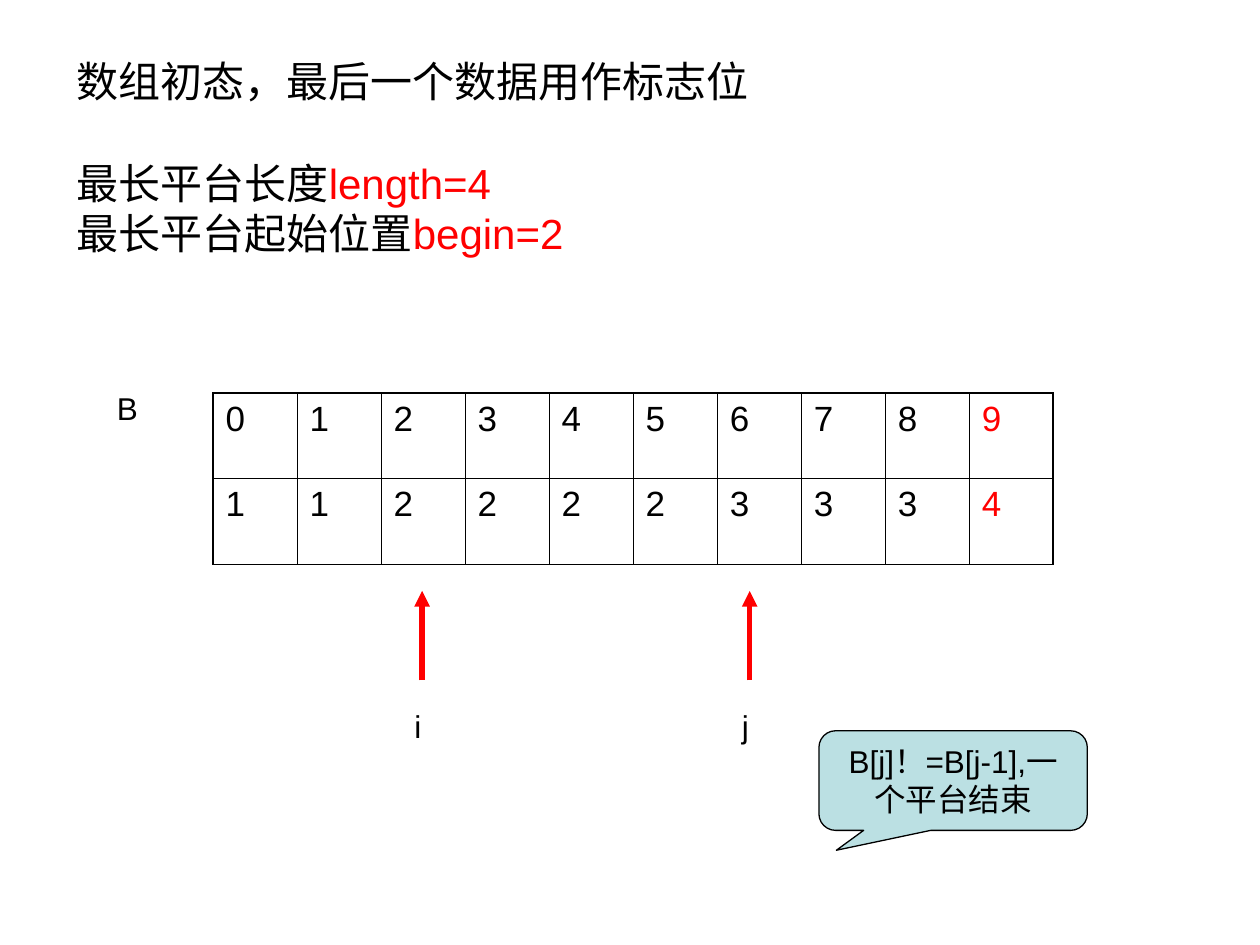
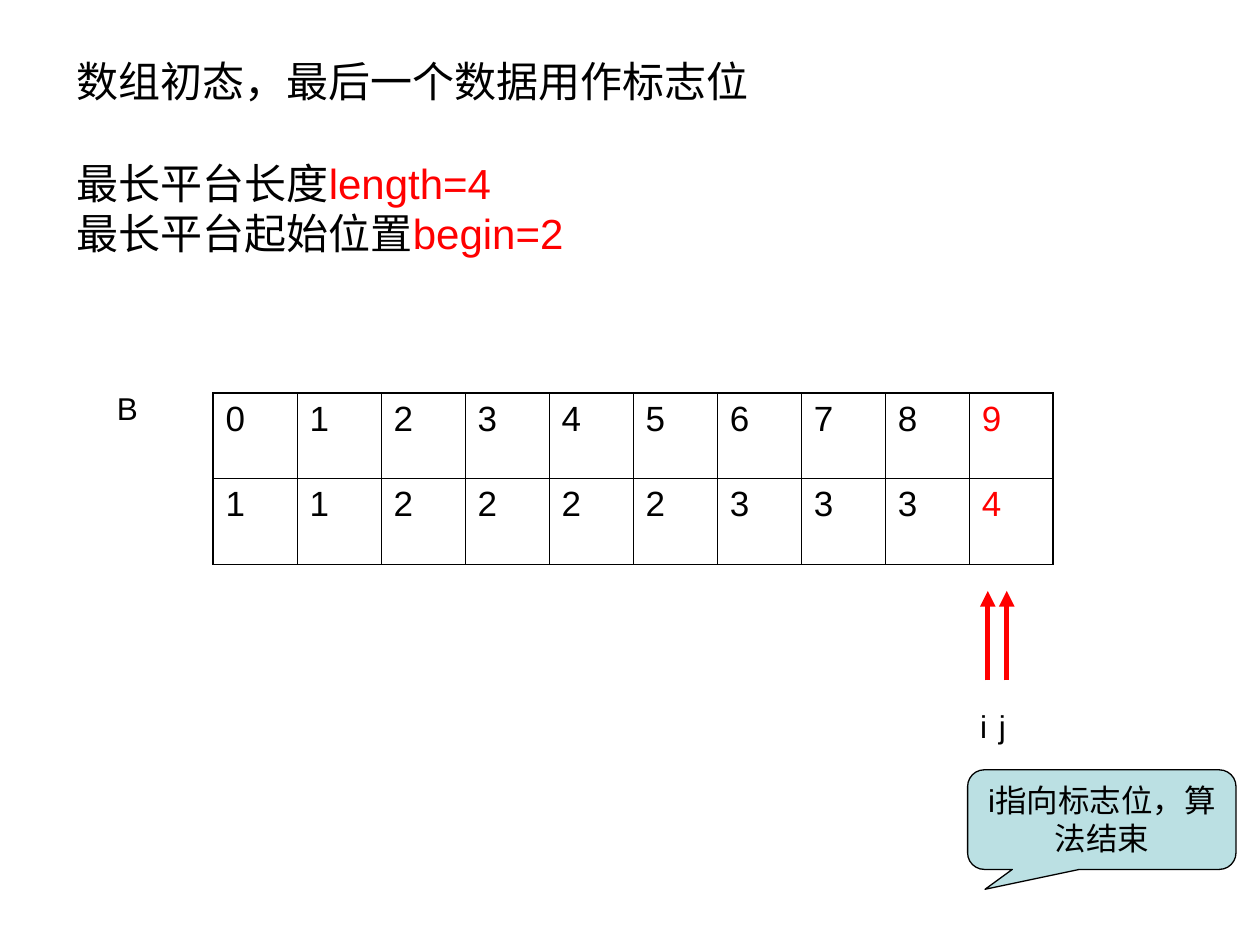
import pptx
import pptx.dml.color
import pptx.enum.lang
import pptx.enum.shapes
import pptx.enum.text
import pptx.oxml
import pptx.oxml.ns
import pptx.util

Inches = pptx.util.Inches
Pt = pptx.util.Pt
Align = pptx.enum.text.PP_ALIGN
Anchor = pptx.enum.text.MSO_ANCHOR

theme = {
    "font": "Arial",
    "ink": "000000",
    "accent": "FF0000",
    "callout": "BBE0E3",
    "title_size": 24,
    "cell_size": 20,
    "label_size": 18,
    "outer_border": 1.08,
    "inner_border": 0.45,
}


def color(name):
    return pptx.dml.color.RGBColor.from_string(theme[name])


def write(paragraph, text, size="label_size", ink="ink", align=Align.LEFT):
    paragraph.alignment = align
    run = paragraph.add_run()
    run.text = text
    run.font.name = theme["font"]
    run.font.size = Pt(theme[size])
    run.font.color.rgb = color(ink)
    run.font.language_id = pptx.enum.lang.MSO_LANGUAGE_ID.SIMPLIFIED_CHINESE


title_lines = [
    ("数组初态，最后一个数据用作标志位", "", 0),
    ("最长平台长度", "length=4", 29),
    ("最长平台起始位置", "begin=2", 0),
]
array_rows = [range(10), [1, 1, 2, 2, 2, 2, 3, 3, 3, 4]]
column_count = len(array_rows[0])
cell_width, cell_height = 0.667, 0.68

steps = [
    {"pointers": {"i": 3.35, "j": 5.95}, "callout": "B[j]！=B[j-1],一个平台结束", "at": (6.5, 5.8)},
    {"pointers": {"i": 7.84, "j": 7.99}, "callout": "i指向标志位，算法结束", "at": (7.68, 6.11)},
]

presentation = pptx.Presentation()
presentation.slide_width = Inches(10)
presentation.slide_height = Inches(7.5)

for step in steps:
    slide = presentation.slides.add_slide(presentation.slide_layouts[5])

    title = slide.shapes.title
    title.left, title.top = Inches(0.51), Inches(0.44)
    title.width, title.height = Inches(8.5), Inches(1.61)
    title_frame = title.text_frame
    title_frame.auto_size = pptx.enum.text.MSO_AUTO_SIZE.NONE
    title_frame.vertical_anchor = Anchor.MIDDLE
    for index, (label, value, gap) in enumerate(title_lines):
        paragraph = title_frame.add_paragraph() if index else title_frame.paragraphs[0]
        paragraph.space_before = Pt(gap)
        write(paragraph, label, size="title_size")
        if value:
            write(paragraph, value, size="title_size", ink="accent")

    table = slide.shapes.add_table(
        len(array_rows), column_count, Inches(1.69), Inches(3.12),
        Inches(cell_width * column_count), Inches(cell_height * len(array_rows))).table
    table.first_row = False
    table.horz_banding = False
    for column in table.columns:
        column.width = Inches(cell_width)
    for row_index, values in enumerate(array_rows):
        table.rows[row_index].height = Inches(cell_height)
        for column_index, value in enumerate(values):
            cell = table.cell(row_index, column_index)
            is_sentinel = column_index == column_count - 1
            write(cell.text_frame.paragraphs[0], str(value), size="cell_size",
                  ink="accent" if is_sentinel else "ink")
            outer_sides = {
                "lnL": column_index == 0,
                "lnR": is_sentinel,
                "lnT": row_index == 0,
                "lnB": row_index == len(array_rows) - 1,
            }
            for side, is_outer in outer_sides.items():
                width = Pt(theme["outer_border" if is_outer else "inner_border"])
                cell._tc.get_or_add_tcPr().append(pptx.oxml.parse_xml(
                    f'<a:{side} {pptx.oxml.ns.nsdecls("a")} w="{width}"><a:solidFill>'
                    f'<a:srgbClr val="{theme["ink"]}"/></a:solidFill></a:{side}>'))
            cell.fill.background()

    array_label = slide.shapes.add_textbox(Inches(0.83), Inches(3.04), Inches(0.63), Inches(0.4))
    array_label.text_frame.word_wrap = True
    write(array_label.text_frame.paragraphs[0], "B")

    for name, x in step["pointers"].items():
        pointer = slide.shapes.add_group_shape()
        arrow = pointer.shapes.add_connector(
            pptx.enum.shapes.MSO_CONNECTOR.STRAIGHT, Inches(x), Inches(5.4), Inches(x), Inches(4.69))
        arrow.line.color.rgb = color("accent")
        arrow.line.width = Pt(3)
        namespace = pptx.oxml.ns.nsdecls("a")
        arrow.line._get_or_add_ln().append(pptx.oxml.parse_xml(f'<a:tailEnd {namespace} type="triangle"/>'))
        arrow._element.spPr.append(pptx.oxml.parse_xml(f"<a:effectLst {namespace}/>"))
        pointer_label = pointer.shapes.add_textbox(
            Inches(x - 0.16), Inches(5.56), Inches(0.31), Inches(0.4))
        pointer_label.text_frame.word_wrap = True
        write(pointer_label.text_frame.paragraphs[0], name)

    left, top = step["at"]
    callout = slide.shapes.add_shape(
        pptx.enum.shapes.MSO_SHAPE.ROUNDED_RECTANGULAR_CALLOUT,
        Inches(left), Inches(top), Inches(2.13), Inches(0.79))
    callout.adjustments[0] = -0.435
    callout.adjustments[1] = 0.7
    callout.shadow.inherit = False
    callout.fill.solid()
    callout.fill.fore_color.rgb = color("callout")
    callout.line.color.rgb = color("ink")
    callout.line.width = Pt(0.75)
    callout.text_frame.word_wrap = True
    callout.text_frame.vertical_anchor = Anchor.TOP
    write(callout.text_frame.paragraphs[0], step["callout"], align=Align.CENTER)

presentation.save("out.pptx")
